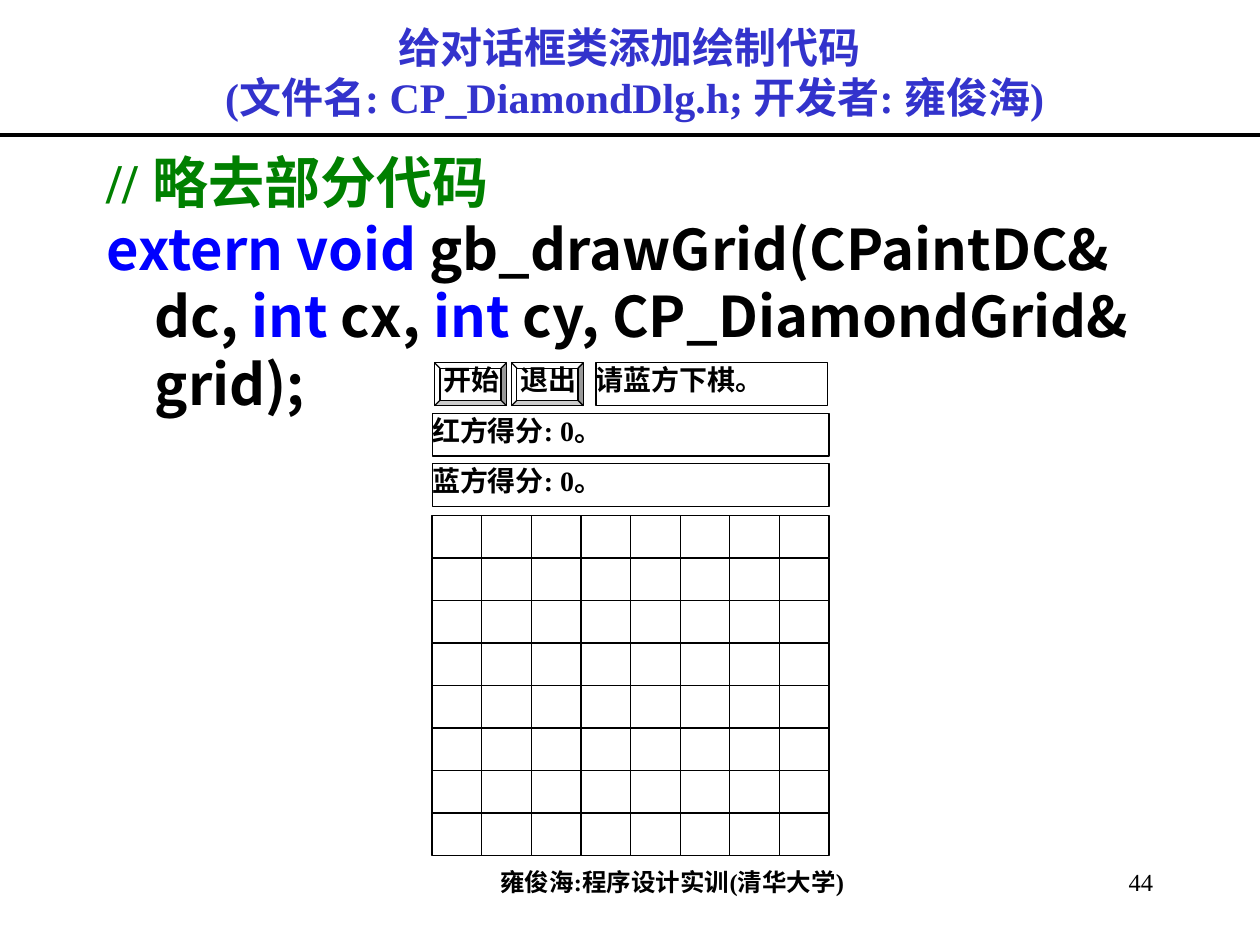
from lxml.etree import SubElement
from pptx import Presentation
from pptx.dml.color import RGBColor
from pptx.enum.shapes import MSO_CONNECTOR, MSO_SHAPE
from pptx.enum.text import MSO_ANCHOR, PP_ALIGN
from pptx.oxml.ns import qn
from pptx.util import Inches, Pt

BLACK = RGBColor(0x00, 0x00, 0x00)
WHITE = RGBColor(0xFF, 0xFF, 0xFF)
TITLE_BLUE = RGBColor(0x33, 0x33, 0xCC)
KEYWORD_BLUE = RGBColor(0x00, 0x00, 0xFF)
COMMENT_GREEN = RGBColor(0x00, 0x80, 0x00)
SERIF = "Times New Roman"
SANS = "Noto Sans CJK SC"


def write(shape, paragraphs, size, align=PP_ALIGN.LEFT, margins=(0, 0, 0, 0), bold=True):
    """Fill a shape with paragraphs, each a list of (text, colour, font) runs."""
    frame = shape.text_frame
    frame.word_wrap = True
    frame.vertical_anchor = MSO_ANCHOR.TOP
    frame.margin_left, frame.margin_top, frame.margin_right, frame.margin_bottom = map(Inches, margins)
    for index, runs in enumerate(paragraphs):
        paragraph = frame.add_paragraph() if index else frame.paragraphs[0]
        paragraph.alignment = align
        paragraph.line_spacing = Pt(size * 1.2)
        paragraph.font.size = Pt(size)
        paragraph.font.bold = bold
        for text, color, font in runs:
            if text == "\n":
                paragraph.add_line_break()
                continue
            run = paragraph.add_run()
            run.text = text
            run.font.size = Pt(size)
            run.font.bold = bold
            run.font.color.rgb = color
            run.font.name = font
            SubElement(run.font._element, qn("a:ea")).set("typeface", SANS)
    return frame


def add_box(kind, left, top, width, height, fill=None):
    """Add a thinly outlined shape."""
    box = slide.shapes.add_shape(kind, Inches(left), Inches(top), Inches(width), Inches(height))
    box.shadow.inherit = False
    box.line.color.rgb = BLACK
    box.line.width = Pt(0.75)
    if fill is None:
        box.fill.background()
    else:
        box.fill.solid()
        box.fill.fore_color.rgb = fill
    return box


prs = Presentation()
prs.slide_width, prs.slide_height = Inches(10), Inches(7.5)
slide = prs.slides.add_slide(prs.slide_layouts[6])

# Footer
footer = slide.shapes.add_textbox(Inches(2.05), Inches(6.83), Inches(6.57), Inches(0.34))
write(footer, [[("雍俊海:程序设计实训(清华大学)", BLACK, SERIF)]], 14, PP_ALIGN.CENTER, (0, 0.05, 0, 0.05))

# Title
title = slide.shapes.add_textbox(Inches(0.75), Inches(0.13), Inches(8.5), Inches(0.88))
title_lines = [
    ("给对话框类添加绘制代码", TITLE_BLUE, SERIF),
    ("\n", TITLE_BLUE, SERIF),
    (" (文件名: CP_DiamondDlg.h; 开发者: 雍俊海)", TITLE_BLUE, SERIF),
]
title_frame = write(title, [title_lines], 24, PP_ALIGN.CENTER, (0.1, 0.05, 0.1, 0.05))
title_frame.vertical_anchor = MSO_ANCHOR.MIDDLE

# Code with hanging indent
code = slide.shapes.add_textbox(Inches(0.75), Inches(1.07), Inches(8.5), Inches(5.83))
code_lines = [
    [("// ", COMMENT_GREEN, SERIF), ("略去部分代码", COMMENT_GREEN, SANS)],
    [
        ("extern void", KEYWORD_BLUE, SANS),
        (" gb_drawGrid(CPaintDC& dc, ", BLACK, SANS),
        ("int", KEYWORD_BLUE, SANS),
        (" cx, ", BLACK, SANS),
        ("int", KEYWORD_BLUE, SANS),
        (" cy, CP_DiamondGrid& grid);", BLACK, SANS),
    ],
]
code_frame = write(code, code_lines, 32, margins=(0.1, 0.1, 0.1, 0.05))
for paragraph in code_frame.paragraphs:
    properties = paragraph._p.get_or_add_pPr()
    properties.set("marL", str(Inches(0.38)))
    properties.set("indent", str(Inches(-0.38)))

# Rule under the title
rule = slide.shapes.add_connector(MSO_CONNECTOR.STRAIGHT, 0, Inches(1.07), Inches(10), Inches(1.07))
rule.line.color.rgb = BLACK
rule.line.width = Pt(2.25)
SubElement(rule._element.spPr, qn("a:effectLst"))

# Message and score fields
for text, left, top, width in [
    ("请蓝方下棋。", 4.73, 2.88, 1.84),
    ("红方得分: 0。", 3.43, 3.28, 3.15),
    ("蓝方得分: 0。", 3.43, 3.68, 3.15),
]:
    field = add_box(MSO_SHAPE.RECTANGLE, left, top, width, 0.34)
    write(field, [[(text, BLACK, SERIF)]], 16)

# Board of 8 by 8 cells
CELLS = 8
cell_width, cell_height = 3.15 / CELLS, 2.7 / CELLS
for row in range(CELLS):
    for column in range(CELLS):
        add_box(MSO_SHAPE.RECTANGLE, 3.43 + column * cell_width, 4.09 + row * cell_height,
                cell_width, cell_height, WHITE)

# Buttons with their captions
for text, button_left, caption_left in [("开始", 3.45, 3.43), ("退出", 4.06, 4.04)]:
    add_box(MSO_SHAPE.BEVEL, button_left, 2.88, 0.57, 0.34, WHITE)
    caption = slide.shapes.add_textbox(Inches(caption_left), Inches(2.88), Inches(0.62), Inches(0.34))
    write(caption, [[(text, BLACK, SERIF)]], 16, PP_ALIGN.CENTER)

# Slide number
number = slide.shapes.add_textbox(Inches(7.17), Inches(6.83), Inches(2.08), Inches(0.5))
write(number, [[("44", BLACK, SERIF)]], 14, PP_ALIGN.RIGHT, (0.1, 0.05, 0.1, 0.05), bold=False)

prs.save("out.pptx")
